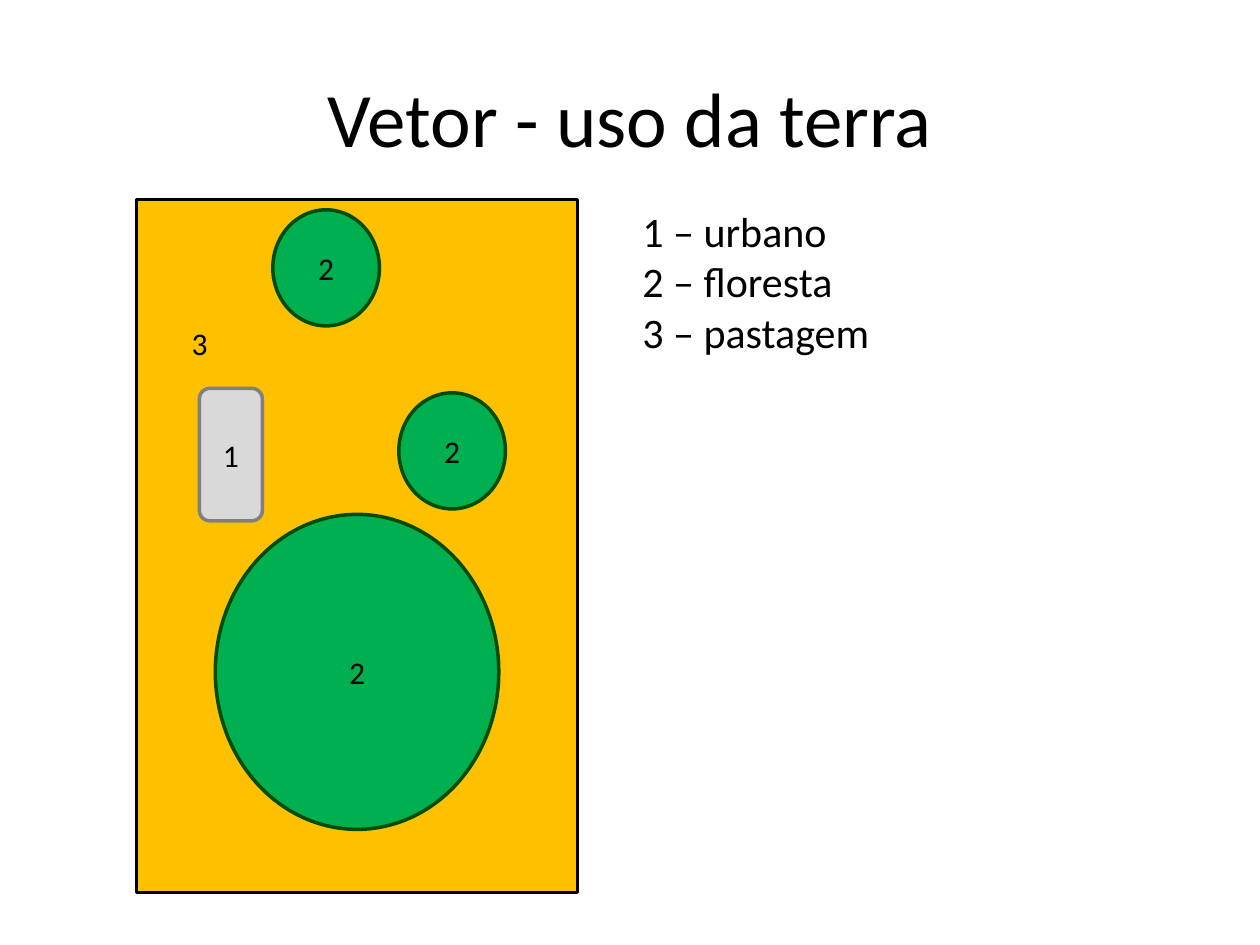
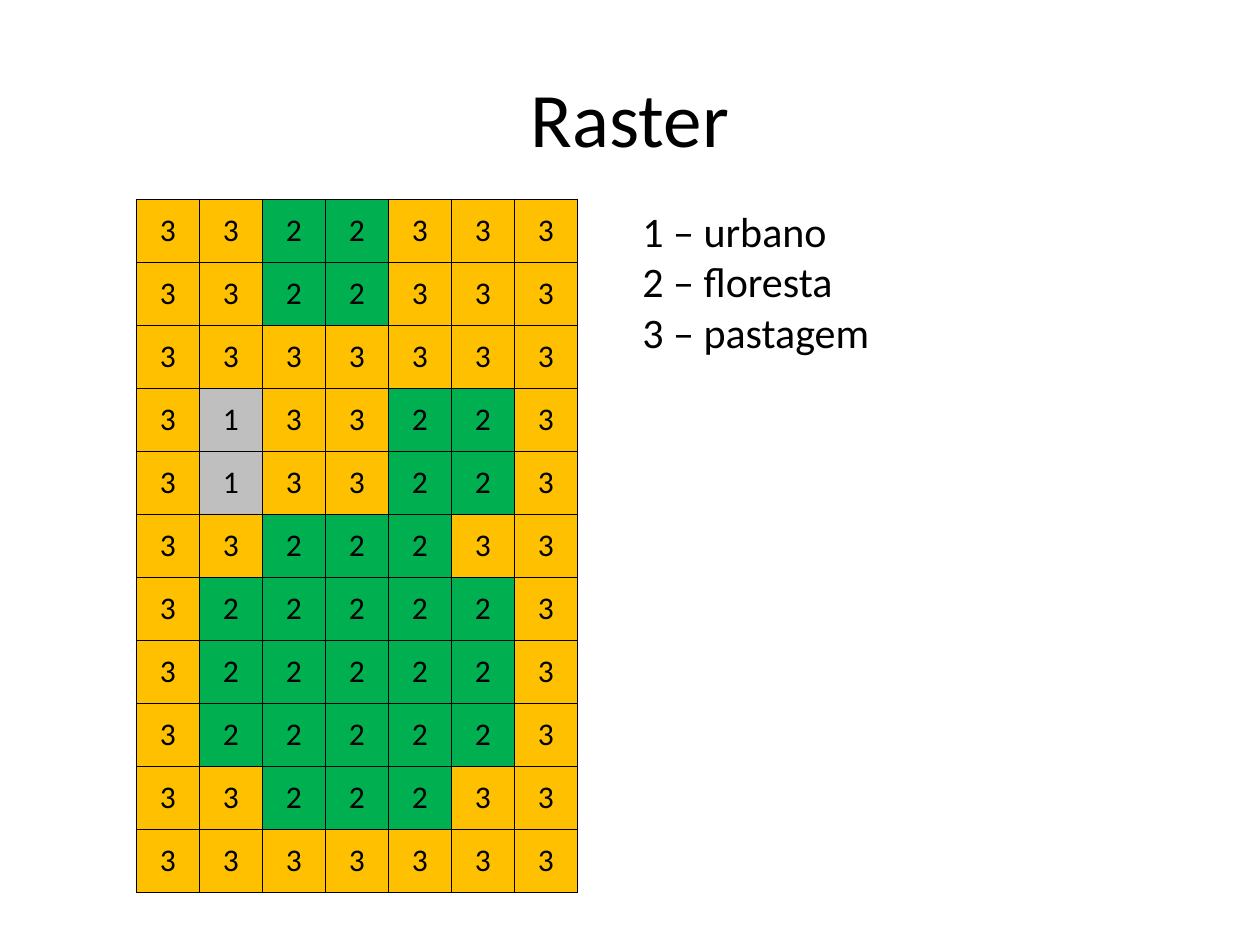
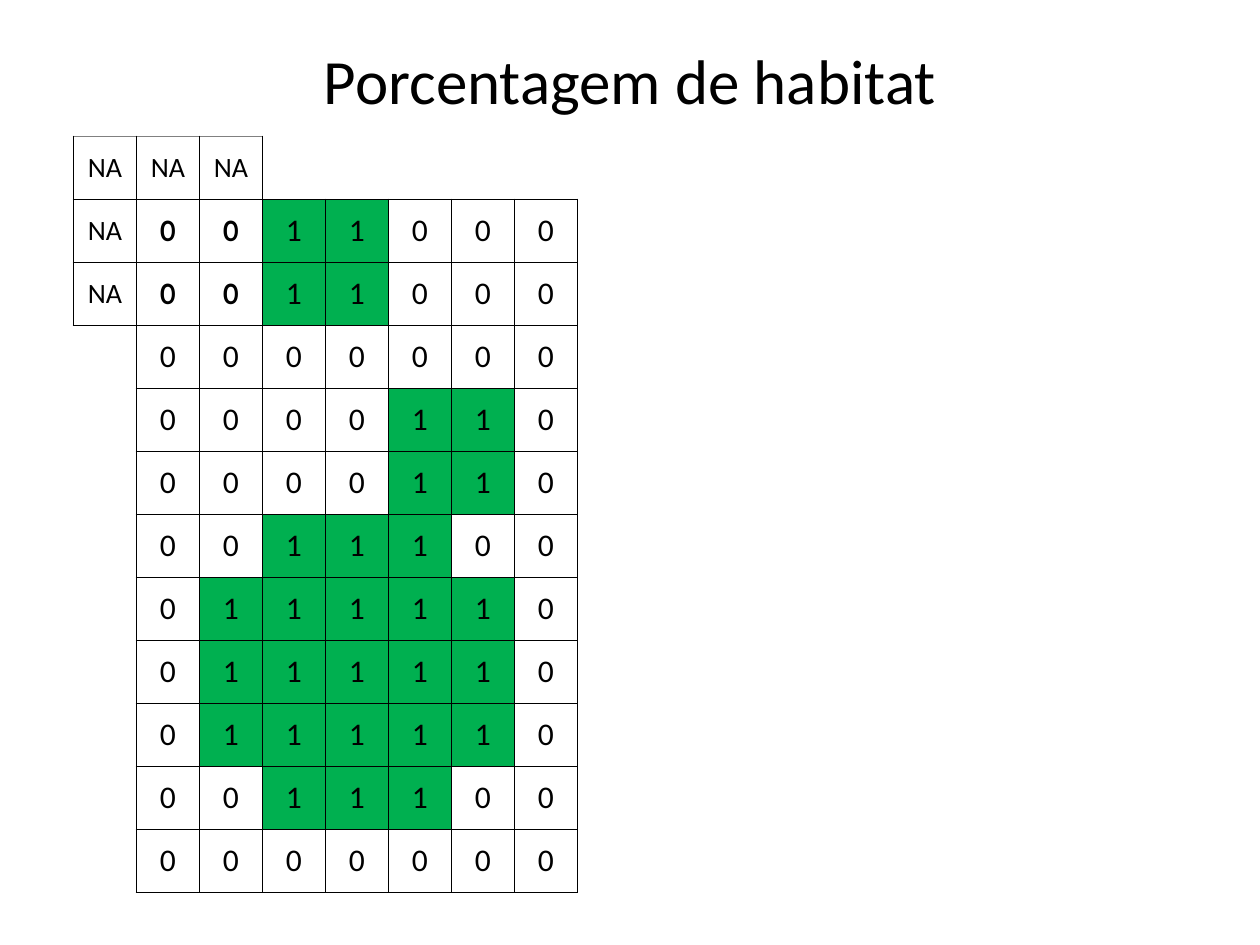
from lxml import etree
from pptx import Presentation
from pptx.dml.color import RGBColor
from pptx.enum.shapes import MSO_SHAPE
from pptx.enum.text import MSO_ANCHOR, MSO_AUTO_SIZE, PP_ALIGN
from pptx.oxml.ns import qn
from pptx.util import Cm, Pt

RECT, OVAL, ROUNDED = MSO_SHAPE.RECTANGLE, MSO_SHAPE.OVAL, MSO_SHAPE.ROUNDED_RECTANGLE
CENTER, LEFT = PP_ALIGN.CENTER, PP_ALIGN.LEFT
MIDDLE = MSO_ANCHOR.MIDDLE
FIT_SHAPE = MSO_AUTO_SIZE.SHAPE_TO_FIT_TEXT

# Shared style and map geometry (cm)
FONT = "Calibri"
BLACK, GRAY = "000000", "808080"
PASTURE, FOREST, FOREST_EDGE = "FFC000", "00B050", "004C00"
URBAN, URBAN_CELL = "D9D9D9", "BFBFBF"
CELL, MAP_X, MAP_Y = 1.27, 2.75, 4.02
PATCH_W, PATCH_H = 2.15, 2.34

# Land use class of each cell
LAND_USE = [
    "3322333",
    "3322333",
    "3333333",
    "3133223",
    "3133223",
    "3322233",
    "3222223",
    "3222223",
    "3222223",
    "3322233",
    "3333333",
]
LEGEND = ["1 – urbano", "2 – floresta", "3 – pastagem"]


def rgb(value):
    return RGBColor.from_string(value)


def write(tf, text, size=18, color=BLACK, align=CENTER):
    """Write one paragraph per line of text."""
    for i, line in enumerate(text.split("\n")):
        p = tf.paragraphs[0] if i == 0 else tf.add_paragraph()
        p.alignment = align
        r = p.add_run()
        r.text = line
        r.font.name, r.font.size = FONT, Pt(size)
        r.font.color.rgb = rgb(color)


def set_borders(cell, top):
    tc_pr = cell._tc.get_or_add_tcPr()
    for side, color in (("L", BLACK), ("R", BLACK), ("T", top), ("B", BLACK)):
        ln = etree.SubElement(tc_pr, qn(f"a:ln{side}"), w=str(Pt(1)))
        fill = etree.SubElement(ln, qn("a:solidFill"))
        etree.SubElement(fill, qn("a:srgbClr"), val=color)


class Deck:
    def __init__(self):
        self.prs = Presentation()
        self.prs.slide_width, self.prs.slide_height = Cm(25.4), Cm(19.05)
        self.s = None

    def slide(self, title, top=0.76, size=44):
        self.s = self.prs.slides.add_slide(self.prs.slide_layouts[5])
        sp = self.s.shapes.title
        sp.left, sp.top, sp.width, sp.height = Cm(1.27), Cm(top), Cm(22.86), Cm(3.18)
        sp.text_frame.vertical_anchor = MIDDLE
        write(sp.text_frame, title, size=size)

    def legend(self):
        sp = self.s.shapes.add_textbox(Cm(12.7), Cm(MAP_Y), Cm(5.13), Cm(3.33))
        tf = sp.text_frame
        tf.word_wrap, tf.auto_size = False, FIT_SHAPE
        write(tf, "\n".join(LEGEND), size=24, align=LEFT)

    def area(self, kind, x, y, w, h, fill=None, line=None, label=""):
        sp = self.s.shapes.add_shape(kind, Cm(x), Cm(y), Cm(w), Cm(h))
        sp.shadow.inherit = False
        if fill:
            sp.fill.solid()
            sp.fill.fore_color.rgb = rgb(fill)
            sp.line.color.rgb, sp.line.width = rgb(line), Pt(2)
        else:
            sp.fill.background()
            sp.line.fill.background()
        if label:
            sp.text_frame.vertical_anchor = MIDDLE
            write(sp.text_frame, label)

    def grid(self, rows, x, y, fills, size=18, top=BLACK):
        n_rows, n_cols = len(rows), len(rows[0])
        table = self.s.shapes.add_table(n_rows, n_cols, Cm(x), Cm(y),
                                        Cm(n_cols * CELL), Cm(n_rows * CELL)).table
        table.first_row = table.horz_banding = False
        for i, row in enumerate(rows):
            table.rows[i].height = Cm(CELL)
            for j, value in enumerate(row):
                table.columns[j].width = Cm(CELL)
                cell = table.cell(i, j)
                cell.vertical_anchor = MIDDLE
                write(cell.text_frame, value, size=size)
                set_borders(cell, top if i == 0 else BLACK)
                if value in fills:
                    cell.fill.solid()
                    cell.fill.fore_color.rgb = rgb(fills[value])
                else:
                    cell.fill.background()


def main():
    deck = Deck()

    # Vector map
    deck.slide("Vetor - uso da terra")
    deck.legend()
    deck.area(RECT, MAP_X, MAP_Y, 7 * CELL, 11 * CELL, PASTURE, BLACK)
    for x, y, w, h in ((4.34, 10.37, 4.5 * CELL, 5 * CELL),
                       (8.04, 7.92, PATCH_W, PATCH_H),
                       (5.5, 4.23, PATCH_W, PATCH_H)):
        deck.area(OVAL, x, y, w, h, FOREST, FOREST_EDGE, "2")
    deck.area(OVAL, 2.95, 5.74, PATCH_W, PATCH_H, label="3")
    deck.area(ROUNDED, MAP_X + CELL, 7.83, CELL, 2.67, URBAN, GRAY, "1")

    # Raster map
    deck.slide("Raster")
    deck.grid(LAND_USE, MAP_X, MAP_Y, {"1": URBAN_CELL, "2": FOREST, "3": PASTURE})
    deck.legend()

    # Habitat map with the moving window over its first corner
    deck.slide("Porcentagem de habitat", top=0, size=36)
    habitat = [["1" if c == "2" else "0" for c in row] for row in LAND_USE]
    deck.grid(habitat, MAP_X, MAP_Y, {"1": FOREST})
    window = [["NA"] * 3] + [["NA", "0", "0"]] * 2
    deck.grid(window, MAP_X - CELL, MAP_Y - CELL, {}, size=16, top=GRAY)

    deck.prs.save("out.pptx")


if __name__ == "__main__":
    main()
